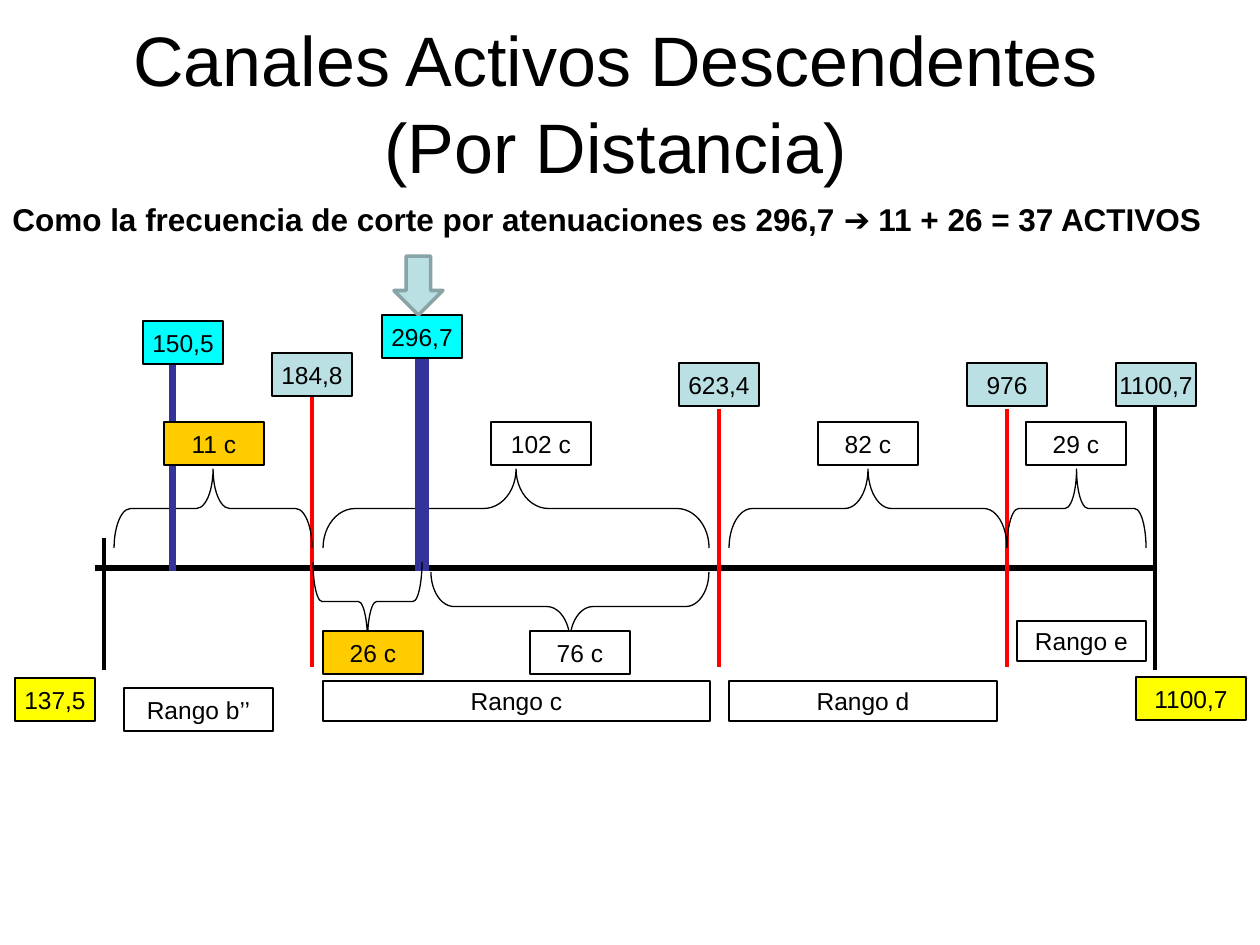
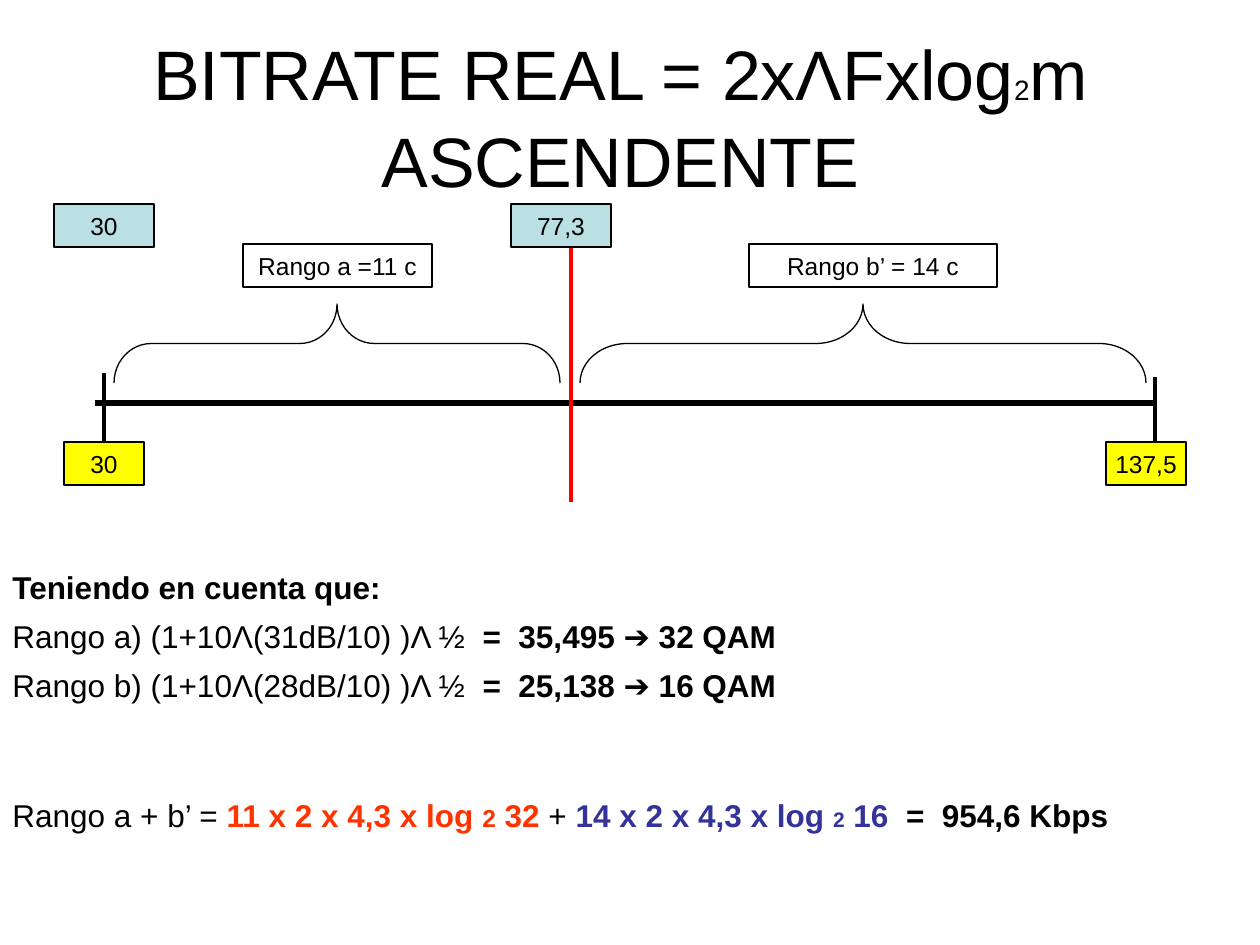
from lxml import etree
from pptx import Presentation
from pptx import util as u
from pptx.dml.color import RGBColor
from pptx.enum import shapes, text
from pptx.oxml import ns

BLACK = RGBColor(0x00, 0x00, 0x00)
WHITE = RGBColor(0xFF, 0xFF, 0xFF)
RED = RGBColor(0xFF, 0x00, 0x00)
ORANGE = RGBColor(0xFF, 0x33, 0x00)
NAVY = RGBColor(0x33, 0x33, 0x99)
CYAN = RGBColor(0x00, 0xFF, 0xFF)
YELLOW = RGBColor(0xFF, 0xFF, 0x00)
AMBER = RGBColor(0xFF, 0xCC, 0x00)
PALE = RGBColor(0xBB, 0xE0, 0xE3)
STEEL = RGBColor(0x89, 0xA4, 0xA7)

FONT = "Arial"
EMU_PER_PX = 914400 / 126
AXIS_LEFT, AXIS_RIGHT, FIRST_TICK = 95, 1155, 104
LABEL_HEIGHT, NARROW, WIDE = 43, 80, 100
BRACE_HEIGHT = 79


def px(length):
    return u.Emu(round(length * EMU_PER_PX))


def add_span(para, content, size=18, color=BLACK, bold=False):
    for index, line in enumerate(content.split("\n")):
        if index:
            para.add_line_break()
        span = para.add_run()
        span.text = line
        span.font.name = FONT
        span.font.size = u.Pt(size)
        span.font.bold = bold
        span.font.color.rgb = color


class Diagram:
    def __init__(self, deck):
        self.deck = deck
        self.page = None

    def new_page(self):
        self.page = self.deck.slides.add_slide(self.deck.slide_layouts[5])

    def title(self, left, top, width, height, *spans):
        box = self.page.shapes.title
        box.left, box.top, box.width, box.height = map(px, (left, top, width, height))
        frame = box.text_frame
        frame.auto_size = text.MSO_AUTO_SIZE.NONE
        frame.vertical_anchor = text.MSO_ANCHOR.MIDDLE
        para = frame.paragraphs[0]
        para.alignment = text.PP_ALIGN.CENTER
        para.line_spacing = 1.04
        for content, size in spans:
            add_span(para, content, size=size)

    def sentence(self, top, *spans):
        box = self.page.shapes.add_textbox(0, px(top), px(1226), px(50))
        box.text_frame.word_wrap = True
        for content, style in spans:
            add_span(box.text_frame.paragraphs[0], content, **style)

    def line(self, start, end, color=BLACK, weight=2):
        line = self.page.shapes.add_connector(
            shapes.MSO_CONNECTOR.STRAIGHT, *map(px, (*start, *end)))
        line.line.color.rgb = color
        line.line.width = u.Pt(weight)
        etree.SubElement(line._element.spPr, ns.qn("a:effectLst"))

    def axis(self, y):
        self.line((AXIS_LEFT, y), (AXIS_RIGHT, y), weight=3)

    def tick(self, x, top, bottom, color=BLACK, weight=2):
        self.line((x, top), (x, bottom), color, weight)

    def shape(self, kind, left, top, width, height, fill, line=BLACK, weight=0.75):
        shape = self.page.shapes.add_shape(kind, *map(px, (left, top, width, height)))
        shape.shadow.inherit = False
        if fill is None:
            shape.fill.background()
        else:
            shape.fill.solid()
            shape.fill.fore_color.rgb = fill
        shape.line.color.rgb = line
        shape.line.width = u.Pt(weight)
        return shape

    def label(self, content, left, top, width=NARROW, height=LABEL_HEIGHT, fill=WHITE):
        box = self.shape(shapes.MSO_SHAPE.RECTANGLE, left, top, width, height, fill)
        frame = box.text_frame
        frame.word_wrap = False
        frame.vertical_anchor = text.MSO_ANCHOR.MIDDLE
        para = frame.paragraphs[0]
        para.alignment = text.PP_ALIGN.CENTER
        add_span(para, content, size=14)

    def brace(self, left, right, top, height=BRACE_HEIGHT, rotation=90):
        length = right - left
        brace = self.shape(
            shapes.MSO_SHAPE.LEFT_BRACE,
            (left + right - height) / 2, top + (height - length) / 2,
            height, length, None)
        brace.rotation = rotation
        brace.adjustments[0] = length / min(height, length) / 12
        brace.adjustments[1] = 0.5

    def down_arrow(self, left, top, width, height):
        self.shape(shapes.MSO_SHAPE.DOWN_ARROW, left, top, width, height, PALE, STEEL, 2)


def build_channels(diagram):
    diagram.new_page()
    diagram.title(25, 16, 1181, 169, ("Canales Activos Descendentes\n(Por Distancia)", 40))
    diagram.axis(568)
    diagram.tick(AXIS_RIGHT, 403, 670)
    diagram.tick(FIRST_TICK, 538, 670)
    for x, top in ((312, 393), (719, 409), (1007, 409)):
        diagram.tick(x, top, 667, RED)
    for left, right in ((114, 312), (323, 709), (729, 1007), (1007, 1146)):
        diagram.brace(left, right, 469)

    diagram.label("137,5", 15, 678, fill=YELLOW)
    diagram.label("1100,7", 1136, 677, 110, fill=YELLOW)
    for frequency, left, top in (
            ("184,8", 272, 353), ("623,4", 679, 363),
            ("976", 967, 363), ("1100,7", 1116, 363)):
        diagram.label(frequency, left, top, fill=PALE)
    for count, left in (("102 c", 491), ("82 c", 818), ("29 c", 1026)):
        diagram.label(count, left, 422, WIDE)
    diagram.label("Rango b’’", 124, 688, 149)
    for name, left, top, width in (
            ("Rango c", 323, 681, 387), ("Rango d", 729, 681, 268),
            ("Rango e", 1017, 621, 129)):
        diagram.label(name, left, top, width, 40)

    diagram.tick(422, 324, 571, NAVY, 8)
    diagram.label("296,7", 382, 315, fill=CYAN)
    diagram.brace(313, 422, 562, rotation=270)
    diagram.label("26 c", 323, 631, WIDE, fill=AMBER)
    diagram.brace(431, 709, 572, 69, rotation=270)
    diagram.label("76 c", 530, 631, WIDE)
    diagram.tick(173, 324, 571, NAVY, 4)
    diagram.label("11 c", 164, 422, WIDE, fill=AMBER)
    diagram.label("150,5", 143, 321, fill=CYAN)
    diagram.down_arrow(394, 256, 49, 59)
    diagram.sentence(194, (
        "Como la frecuencia de corte por atenuaciones es 296,7 ➔ 11 + 26 = 37 ACTIVOS",
        dict(bold=True)))


def build_bitrate(diagram):
    diagram.new_page()
    diagram.title(25, 45, 1191, 139, ("BITRATE REAL = 2xΛFxlog", 40),
                  ("2", 16), ("m\nASCENDENTE", 40))
    diagram.axis(403)
    diagram.tick(AXIS_RIGHT, 377, 446)
    diagram.tick(FIRST_TICK, 373, 442)
    diagram.tick(571, 244, 502, RED)
    for left, right in ((114, 560), (580, 1146)):
        diagram.brace(left, right, 304)
    for frequency, left in (("30", 54), ("77,3", 511)):
        diagram.label(frequency, left, 204, WIDE, fill=PALE)
    for frequency, left in (("30", 64), ("137,5", 1106)):
        diagram.label(frequency, left, 442, fill=YELLOW)
    for name, left, width in (("Rango a =11 c", 243, 189), ("Rango b’ = 14 c", 749, 248)):
        diagram.label(name, left, 244, width)

    strong = dict(bold=True)
    diagram.sentence(562, ("Teniendo en cuenta que:", strong))
    for top, formula, result in (
            (611, "Rango a) (1+10Λ(31dB/10) )Λ ½  ", "=  35,495 ➔ 32 QAM"),
            (660, "Rango b) (1+10Λ(28dB/10) )Λ ½  ", "=  25,138 ➔ 16 QAM")):
        diagram.sentence(top, (formula, {}), (result, strong))
    orange = dict(color=ORANGE, bold=True)
    navy = dict(color=NAVY, bold=True)
    diagram.sentence(
        790, ("Rango a + b’ = ", {}),
        ("11 x 2 x 4,3 x log ", orange), ("2", dict(orange, size=14)), (" 32", orange),
        (" + ", {}),
        ("14 x 2 x 4,3 x log ", navy), ("2", dict(navy, size=12)), (" 16  ", navy),
        ("=  954,6 Kbps", strong))


def main():
    deck = Presentation()
    deck.slide_width, deck.slide_height = px(1260), px(945)
    diagram = Diagram(deck)
    build_channels(diagram)
    build_bitrate(diagram)
    deck.save("out.pptx")


if __name__ == "__main__":
    main()
